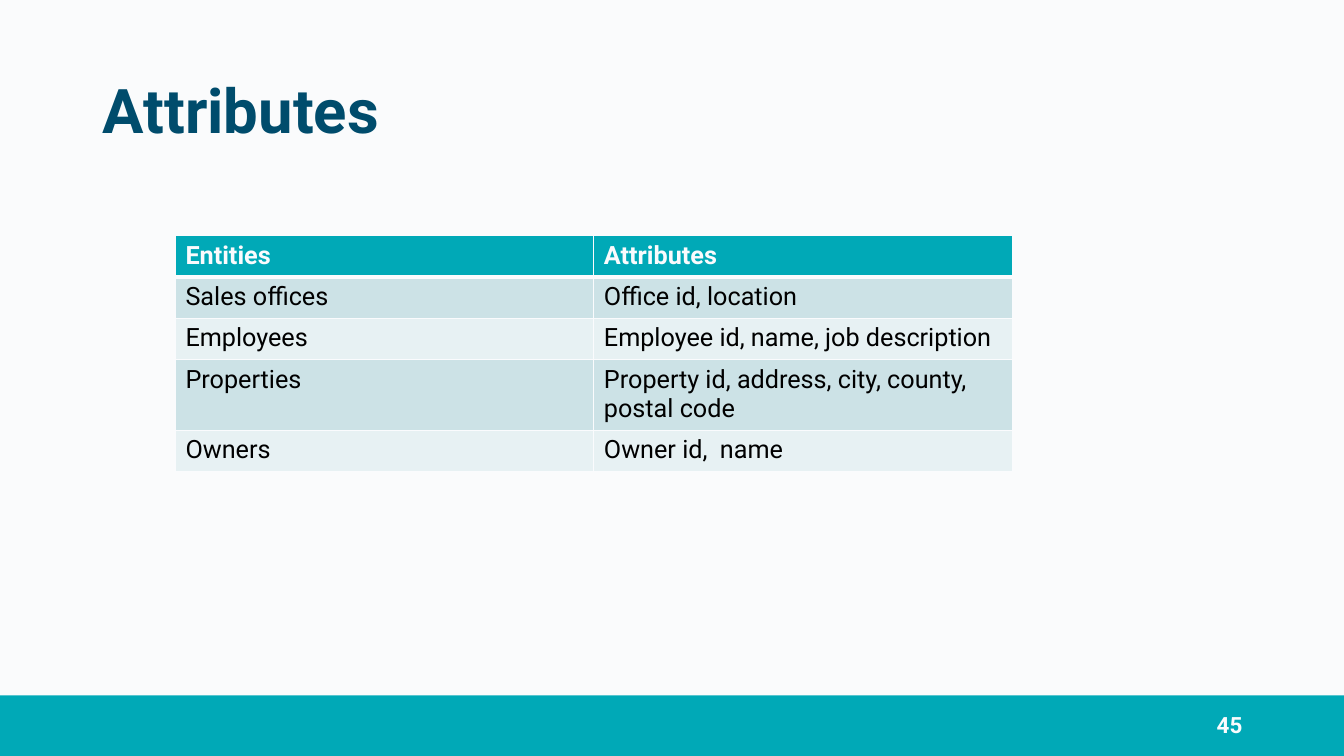
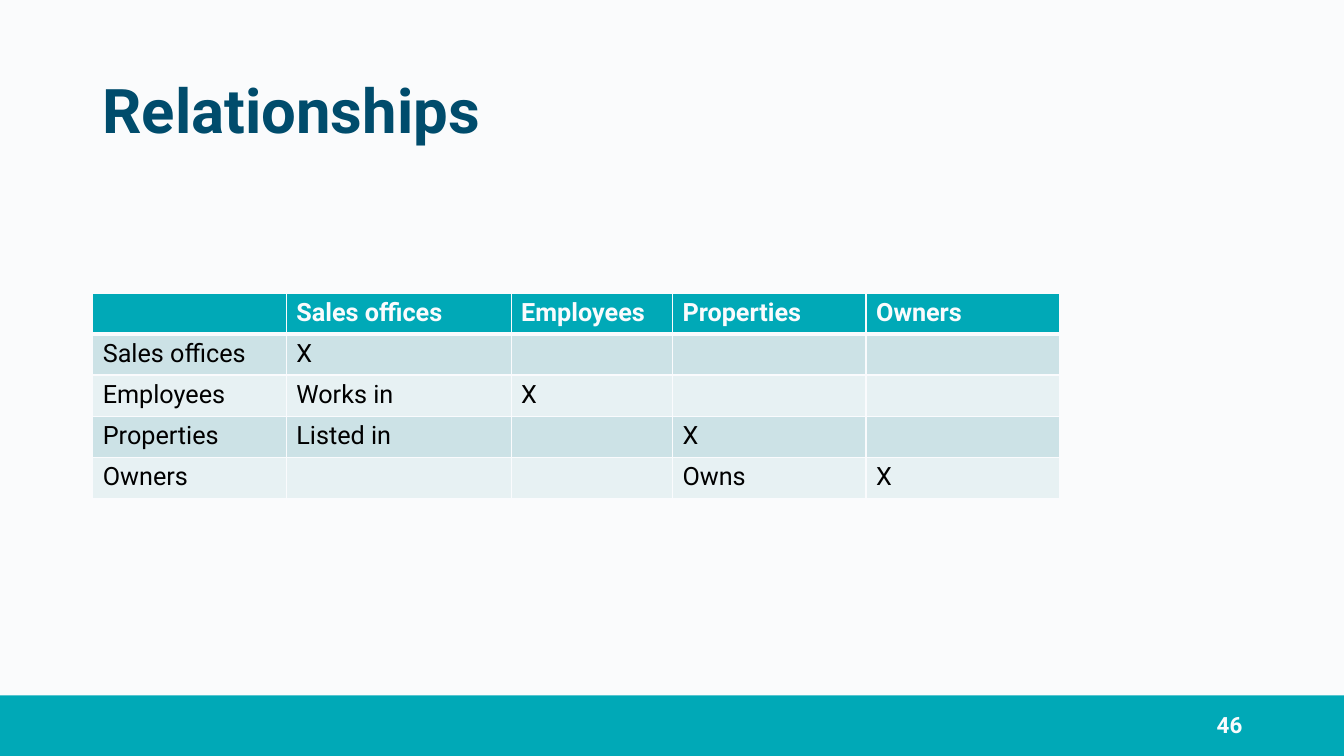
from lxml.etree import SubElement
from pptx import Presentation
from pptx.dml.color import RGBColor
from pptx.enum.shapes import MSO_SHAPE
from pptx.enum.text import MSO_ANCHOR, PP_ALIGN
from pptx.oxml.ns import qn
from pptx.util import Inches, Pt

PAPER = RGBColor(0xFA, 0xFB, 0xFC)
WHITE = RGBColor(0xFA, 0xFB, 0xFD)
TEAL = RGBColor(0x00, 0xA9, 0xB7)
NAVY = RGBColor(0x00, 0x4C, 0x6C)
BLACK = RGBColor(0, 0, 0)
BANDS = RGBColor(0xCC, 0xE2, 0xE6), RGBColor(0xE7, 0xF1, 0xF3)

WIDTH, HEIGHT = 13.33, 7.5
FOOTER = 0.6
ROW = 0.41

TITLE = dict(name="Roboto", size=Pt(44), bold=True, color=NAVY)
NUMBER = dict(name="Roboto", size=Pt(16), bold=True, color=WHITE)
HEADER = dict(name="Roboto", size=Pt(18), bold=True, color=WHITE)
BODY = dict(name="Roboto", size=Pt(18), bold=False, color=BLACK)

SLIDES = [
    dict(
        title="Attributes", number=45, at=(1.74, 2.34),
        cols=[4.15, 4.15], header_height=ROW,
        rows=[
            ("Entities", "Attributes"),
            ("Sales offices", "Office id, location"),
            ("Employees", "Employee id, name, job description"),
            ("Properties", "Property id, address, city, county, postal code"),
            ("Owners", "Owner id,  name"),
        ],
    ),
    dict(
        title="Relationships", number=46, at=(0.92, 2.91),
        cols=[1.92, 2.23, 1.6, 1.92, 1.92], header_height=0.21,
        rows=[
            ("", "Sales offices", "Employees", "Properties", "Owners"),
            ("Sales offices", "X", "", "", ""),
            ("Employees", "Works in", "X", "", ""),
            ("Properties", "Listed in", "", "X", ""),
            ("Owners", "", "", "Owns", "X"),
        ],
    ),
]


def write(p, text, style):
    r = p.add_run()
    r.text = text
    for key, value in style.items():
        if key == "color":
            r.font.color.rgb = value
        else:
            setattr(r.font, key, value)


def add_text(slide, box, text, style, **paragraph_format):
    tf = slide.shapes.add_textbox(*map(Inches, box)).text_frame
    tf.word_wrap = True
    tf.vertical_anchor = MSO_ANCHOR.MIDDLE
    p = tf.paragraphs[0]
    for key, value in paragraph_format.items():
        setattr(p, key, value)
    write(p, text, style)


def set_borders(cell, **widths):
    """Draw the L, R, T and B borders, 1 pt unless a width is given."""
    tc_pr = cell._tc.get_or_add_tcPr()
    for side in "LRTB":
        ln = SubElement(tc_pr, qn(f"a:ln{side}"), w=str(Pt(widths.get(side, 1))))
        fill = SubElement(ln, qn("a:solidFill"))
        SubElement(fill, qn("a:srgbClr"), val=str(WHITE))


def add_grid(slide, at, cols, header_height, rows):
    heights = [header_height] + [ROW] * (len(rows) - 1)
    box = (*at, sum(cols), sum(heights))
    table = slide.shapes.add_table(len(rows), len(cols), *map(Inches, box)).table
    for column, width in zip(table.columns, cols):
        column.width = Inches(width)
    for i, (height, texts) in enumerate(zip(heights, rows)):
        table.rows[i].height = Inches(height)
        for j, text in enumerate(texts):
            cell = table.cell(i, j)
            set_borders(cell, **{0: {"B": 3}, 1: {"T": 3}}.get(i, {}))
            cell.fill.solid()
            cell.fill.fore_color.rgb = BANDS[(i - 1) % 2] if i else TEAL
            if text:
                write(cell.text_frame.paragraphs[0], text, BODY if i else HEADER)


def add_slide(prs, title, number, **grid):
    slide = prs.slides.add_slide(prs.slide_layouts[6])
    band = slide.shapes.add_shape(
        MSO_SHAPE.RECTANGLE,
        *map(Inches, (0, HEIGHT - FOOTER, WIDTH, FOOTER)))
    band.shadow.inherit = False
    band.fill.solid()
    band.fill.fore_color.rgb = TEAL
    band.line.fill.background()
    add_text(slide, (0.92, 0.4, 11.5, 1.45), title, TITLE, line_spacing=0.9)
    add_grid(slide, **grid)
    add_text(slide, (9.42, 6.99, 3, 0.4), str(number), NUMBER,
             alignment=PP_ALIGN.RIGHT)


def main():
    prs = Presentation()
    prs.slide_width, prs.slide_height = Inches(WIDTH), Inches(HEIGHT)
    background = prs.slide_master.background.fill
    background.solid()
    background.fore_color.rgb = PAPER
    for content in SLIDES:
        add_slide(prs, **content)
    prs.save("out.pptx")


if __name__ == "__main__":
    main()
